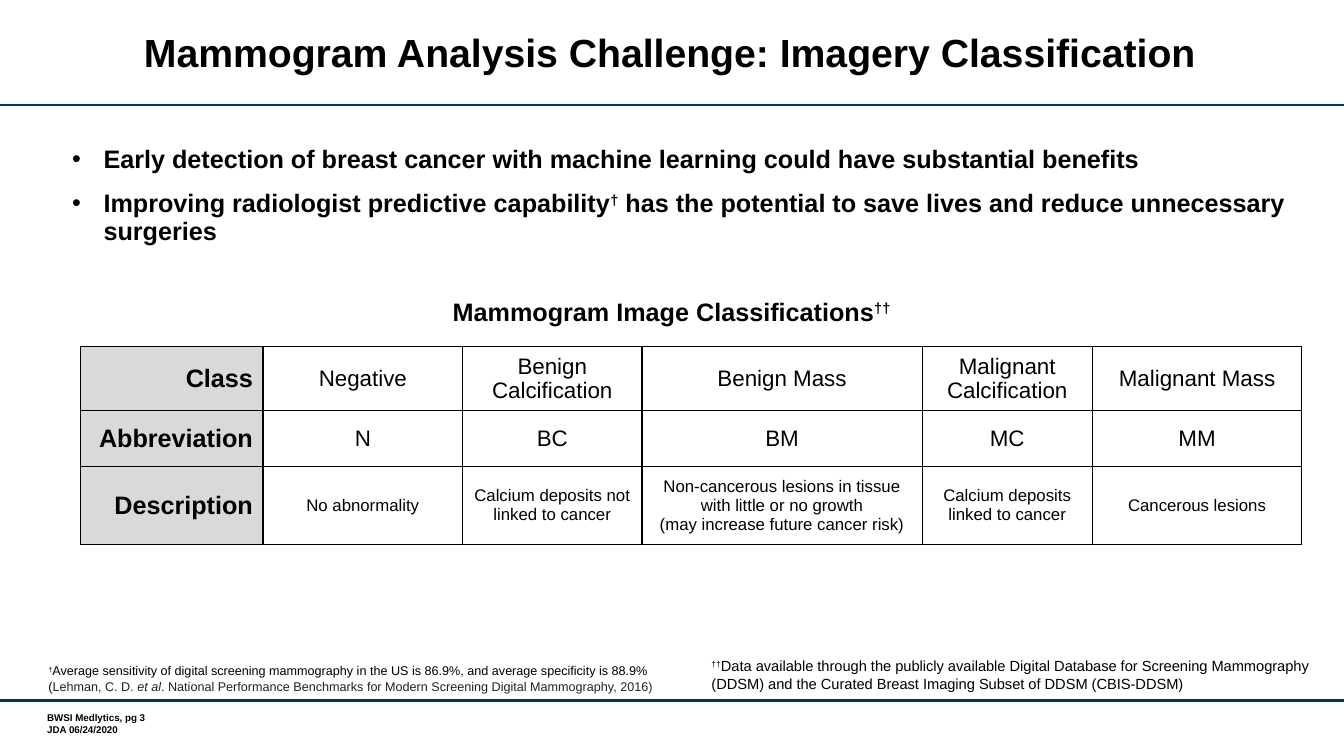
"""Build the mammogram image classification slide."""
from dataclasses import dataclass

from lxml.etree import SubElement
from pptx import Presentation
from pptx.dml.color import RGBColor
from pptx.enum.shapes import MSO_CONNECTOR
from pptx.enum.text import MSO_AUTO_SIZE as AutoSize, MSO_ANCHOR as Anchor, PP_ALIGN as Align
from pptx.oxml.ns import qn
from pptx.util import Cm, Pt


@dataclass(frozen=True)
class Theme:
    font: str = "Arial"
    ink: RGBColor = RGBColor(0x00, 0x00, 0x00)
    citation: RGBColor = RGBColor(0x22, 0x22, 0x22)
    rule: RGBColor = RGBColor(0x00, 0x37, 0x67)
    header: RGBColor = RGBColor(0xD9, 0xD9, 0xD9)
    title: Pt = Pt(28)
    heading: Pt = Pt(18)
    label: Pt = Pt(16)
    detail: Pt = Pt(12)
    source: Pt = Pt(10.5)
    footnote: Pt = Pt(9)
    footer: Pt = Pt(7)


theme = Theme()
deck = Presentation()
deck.slide_width, deck.slide_height = Cm(33.87), Cm(19.05)
page = deck.slides.add_slide(deck.slide_layouts[6])


def write(frame, text, size, bold=False, align=Align.LEFT):
    """Fill a frame; a bar separates runs and dagger runs are raised."""
    frame.text = text
    for para in frame.paragraphs:
        para.alignment = align
        pieces = para.text.split("|")
        para.text = pieces[0]
        for piece in pieces[1:]:
            para.add_run().text = piece
        for span in para.runs:
            span.font.name, span.font.size, span.font.bold = theme.font, size, bold
            span.font.color.rgb = theme.ink
            if not span.text.strip("†"):
                span.font._element.set("baseline", "30000")


def add_text(left, top, width, height, text, size, bold=False, align=Align.LEFT):
    """Add a wrapping text box and return its frame."""
    box = page.shapes.add_textbox(Cm(left), Cm(top), Cm(width), Cm(height))
    box.text_frame.word_wrap = True
    write(box.text_frame, text, size, bold, align)
    return box.text_frame


for height in (2.64, 17.65):
    rule = page.shapes.add_connector(
        MSO_CONNECTOR.STRAIGHT, 0, Cm(height), deck.slide_width, Cm(height))
    rule.line.color.rgb = theme.rule
    rule.line.width = Pt(1.75)
    SubElement(rule._element.spPr, qn("a:effectLst"))

footer = add_text(1.19, 17.93, 4.04, 0.61,
                  "BWSI Medlytics, pg 3\nJDA 06/24/2020", theme.footer, True)
footer.margin_left = footer.margin_right = footer.margin_top = footer.margin_bottom = 0

title = add_text(3.02, 0.28, 27.71, 2.26,
                 "Mammogram Analysis Challenge: Imagery Classification",
                 theme.title, True, Align.CENTER)
title.vertical_anchor = Anchor.MIDDLE
title.paragraphs[0].line_spacing = theme.title

body = add_text(
    1.14, 3.58, 31.72, 13.41,
    "Early detection of breast cancer with machine learning could have substantial benefits\n"
    "Improving radiologist predictive capability|†| has the potential to save lives"
    " and reduce unnecessary surgeries", theme.heading, True)
for para in body.paragraphs:
    para.line_spacing = 0.9
    para.space_before = Pt(12)
    properties = para._p.get_or_add_pPr()
    properties.set("marL", str(Cm(1.22)))
    properties.set("indent", str(-Cm(0.79)))
    SubElement(properties, qn("a:buFont"), typeface=theme.font)
    SubElement(properties, qn("a:buChar"), char="•")

caption = add_text(11.07, 7.34, 11.71, 1.02, "Mammogram Image Classifications|††",
                   theme.heading, True, Align.CENTER)
caption.word_wrap = False

source = add_text(
    17.68, 16.43, 15.95, 1.14,
    "††|Data available through the publicly available Digital Database for Screening"
    " Mammography (DDSM) and the Curated Breast Imaging Subset of DDSM (CBIS-DDSM)",
    theme.source)
footnote = add_text(
    0.97, 16.59, 15.95, 1.02,
    "†|Average sensitivity of digital screening mammography in the US is 86.9%,"
    " and average specificity is 88.9% (|Lehman, C. D. |et al|. National Performance"
    " Benchmarks for Modern Screening Digital Mammography, 2016)", theme.footnote)
citation = footnote.paragraphs[0].runs[2:]
for span in citation:
    span.font.color.rgb = theme.citation
citation[1].font.italic = True
for frame in (caption, source, footnote):
    frame.auto_size = AutoSize.SHAPE_TO_FIT_TEXT

rows = [
    (1.6, theme.label, ["Class", "Negative", "Benign Calcification", "Benign Mass",
                        "Malignant Calcification", "Malignant Mass"]),
    (1.4, theme.label, ["Abbreviation", "N", "BC", "BM", "MC", "MM"]),
    (1.98, theme.detail, ["Description", "No abnormality",
                          "Calcium deposits not linked to cancer",
                          "Non-cancerous lesions in tissue with little or no growth\n"
                          "(may increase future cancer risk)",
                          "Calcium deposits linked to cancer", "Cancerous lesions"]),
]
widths = [4.6, 5.03, 4.52, 7.06, 4.29, 5.28]
table = page.shapes.add_table(len(rows), len(widths), Cm(2.03), Cm(8.74),
                              Cm(sum(widths)), Cm(sum(row[0] for row in rows))).table
table.first_row = table.horz_banding = False
for column, width in zip(table.columns, widths):
    column.width = Cm(width)
for row, (height, size, texts) in zip(table.rows, rows):
    row.height = Cm(height)
    for index, (cell, text) in enumerate(zip(row.cells, texts)):
        is_header = index == 0
        write(cell.text_frame, text, theme.heading if is_header else size, is_header,
              Align.RIGHT if is_header else Align.CENTER)
        cell.vertical_anchor = Anchor.MIDDLE
        for side in ("lnL", "lnR", "lnT", "lnB"):
            border = SubElement(cell._tc.get_or_add_tcPr(), qn(f"a:{side}"), w=str(Pt(1)))
            paint = SubElement(border, qn("a:solidFill"))
            SubElement(paint, qn("a:srgbClr"), val=str(theme.ink))
        if is_header:
            cell.fill.solid()
            cell.fill.fore_color.rgb = theme.header
        else:
            cell.fill.background()

deck.save("out.pptx")
